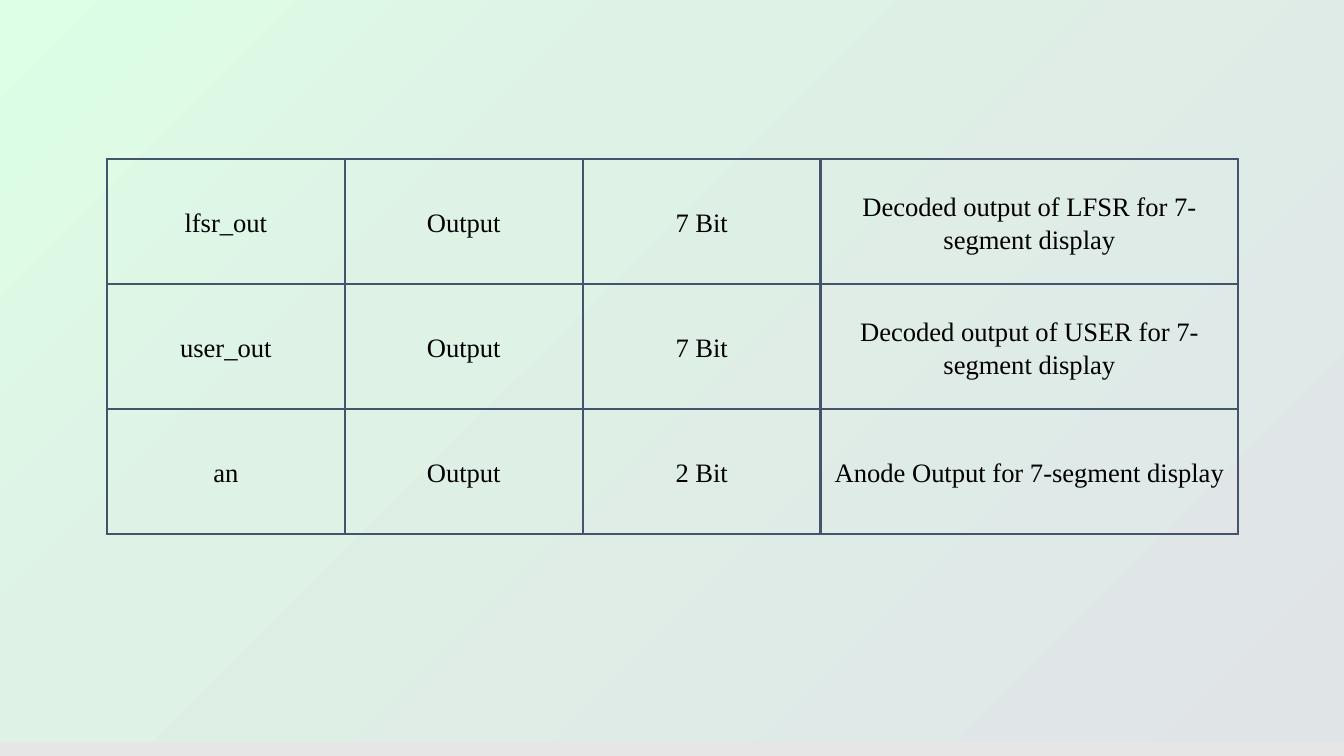
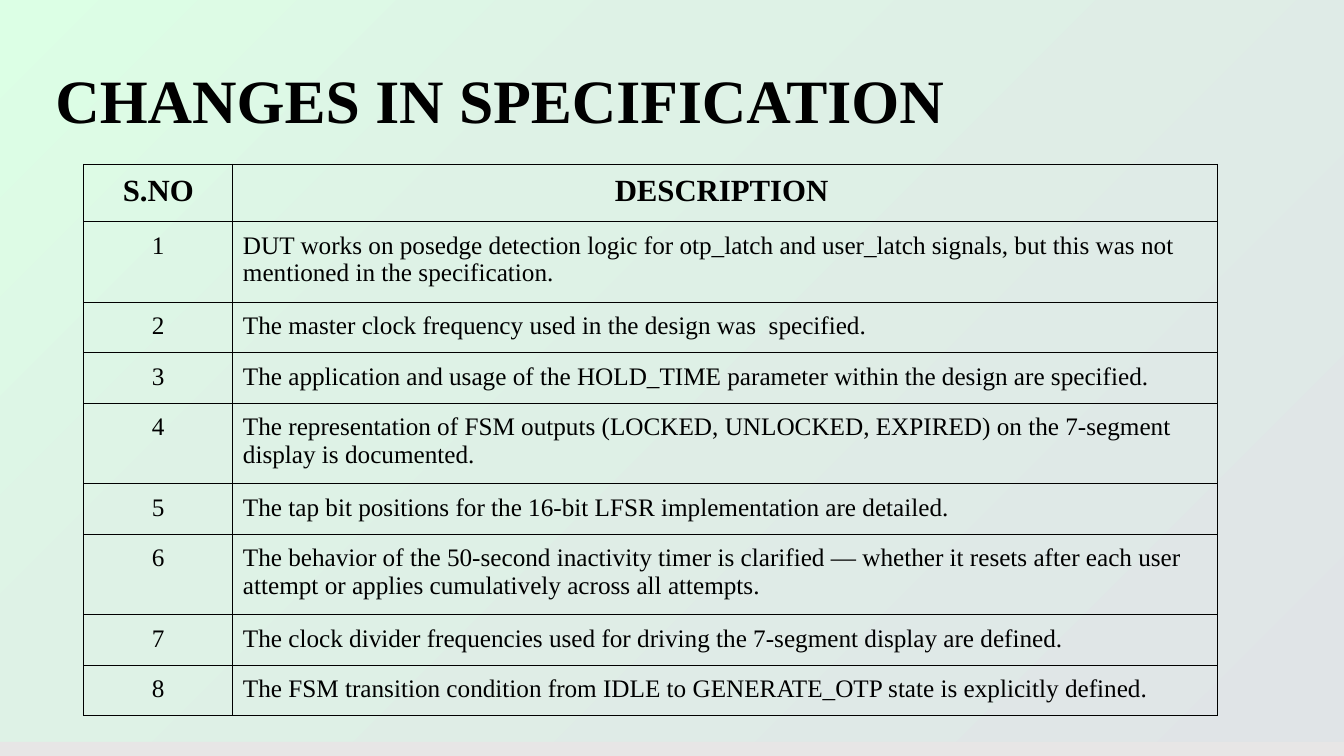
import lxml.etree
import pptx
import pptx.dml.color
import pptx.enum.shapes
import pptx.enum.text
import pptx.oxml.ns
import pptx.util

Inches = pptx.util.Inches
Color = pptx.dml.color.RGBColor
Align = pptx.enum.text.PP_ALIGN
Anchor = pptx.enum.text.MSO_ANCHOR
qn = pptx.oxml.ns.qn

BLACK = Color(0x00, 0x00, 0x00)
SLATE = Color(0x44, 0x54, 0x6A)
BAND_GRAY = Color(0xE7, 0xE6, 0xE6)
GRADIENT = [
    (0, Color(0xE0, 0xE4, 0xE7)),
    (67, Color(0xDE, 0xF2, 0xE6)),
    (100, Color(0xDC, 0xFF, 0xE5)),
]
FONT = "Times New Roman"
WIDTH, HEIGHT = 13.33, 7.5
BAND_HEIGHT = 0.14

SIGNALS = [
    ("lfsr_out", "Output", "7 Bit", "Decoded output of LFSR for 7-segment display"),
    ("user_out", "Output", "7 Bit", "Decoded output of USER for 7-segment display"),
    ("an", "Output", "2 Bit", "Anode Output for 7-segment display"),
]
CHANGES = [
    "DUT works on posedge detection logic for otp_latch and user_latch signals, "
    "but this was not mentioned in the specification.",
    "The master clock frequency used in the design was  specified.",
    "The application and usage of the HOLD_TIME parameter within the design are specified.",
    "The representation of FSM outputs (LOCKED, UNLOCKED, EXPIRED) on the 7-segment "
    "display is documented.",
    "The tap bit positions for the 16-bit LFSR implementation are detailed.",
    "The behavior of the 50-second inactivity timer is clarified — whether it resets "
    "after each user attempt or applies cumulatively across all attempts.",
    "The clock divider frequencies used for driving the 7-segment display are defined.",
    "The FSM transition condition from IDLE to GENERATE_OTP state is explicitly defined.",
]


def write_text(frame, text, size=18, bold=False, align=Align.LEFT, spacing=None):
    frame.word_wrap = True
    para = frame.paragraphs[0]
    para.alignment = align
    para.line_spacing = spacing
    span = para.add_run()
    span.text = text
    span.font.name = FONT
    span.font.size = pptx.util.Pt(size)
    span.font.bold = bold
    span.font.color.rgb = BLACK


def paint_background(page):
    fill = page.background.fill
    fill.gradient()
    fill.gradient_angle = 135
    stops = page.element.find(".//" + qn("a:gsLst"))
    for stop in list(stops):
        stops.remove(stop)
    for position, color in GRADIENT:
        stop = lxml.etree.SubElement(stops, qn("a:gs"), pos=str(position * 1000))
        lxml.etree.SubElement(stop, qn("a:srgbClr"), val=str(color))


def add_page(deck):
    page = deck.slides.add_slide(deck.slide_layouts[6])
    paint_background(page)
    band = page.shapes.add_shape(
        pptx.enum.shapes.MSO_SHAPE.RECTANGLE,
        Inches(0), Inches(HEIGHT - BAND_HEIGHT), Inches(WIDTH), Inches(BAND_HEIGHT))
    band.shadow.inherit = False
    band.fill.solid()
    band.fill.fore_color.rgb = BAND_GRAY
    band.line.fill.background()
    return page


def add_title(page, text, left, top, width, height):
    box = page.shapes.add_textbox(Inches(left), Inches(top), Inches(width), Inches(height))
    box.text_frame.vertical_anchor = Anchor.MIDDLE
    write_text(box.text_frame, text, size=44, bold=True, spacing=0.9)


def border_cell(cell, color, weight):
    properties = cell._tc.get_or_add_tcPr()
    for index, side in enumerate(("a:lnL", "a:lnR", "a:lnT", "a:lnB")):
        line = lxml.etree.Element(qn(side), w=str(pptx.util.Pt(weight)))
        fill = lxml.etree.SubElement(line, qn("a:solidFill"))
        lxml.etree.SubElement(fill, qn("a:srgbClr"), val=str(color))
        properties.insert(index, line)


def add_grid(page, left, top, columns, heights, color, weight):
    table = page.shapes.add_table(
        len(heights), len(columns), Inches(left), Inches(top),
        Inches(sum(columns)), Inches(sum(heights))).table
    table.first_row = False
    table.horz_banding = False
    for column, width in zip(table.columns, columns):
        column.width = Inches(width)
    for row, height in zip(table.rows, heights):
        row.height = Inches(height)
    for cell in table.iter_cells():
        cell.fill.background()
        border_cell(cell, color, weight)
    return table


def set_margins(cell, across, down):
    cell.margin_left = cell.margin_right = Inches(across)
    cell.margin_top = cell.margin_bottom = Inches(down)


def add_signal_table(page, left, top):
    table = add_grid(page, left, top, [2.36] * 3 + [4.14], [1.24] * 3, SLATE, 2)
    for row, texts in zip(table.rows, SIGNALS):
        for column, (cell, text) in enumerate(zip(row.cells, texts)):
            set_margins(cell, 0.13 if column == 3 else 0.04, 0.03)
            cell.vertical_anchor = Anchor.MIDDLE
            write_text(cell.text_frame, text, size=19, align=Align.CENTER, spacing=1.15)


def add_change_table(page, left, top):
    rows = [("S.NO", "DESCRIPTION ")]
    rows += [(str(number), text) for number, text in enumerate(CHANGES, 1)]
    table = add_grid(page, left, top, [1.48, 9.77], [0.42] * len(rows), BLACK, 0.75)
    for index, (row, texts) in enumerate(zip(table.rows, rows)):
        header = index == 0
        for column, (cell, text) in enumerate(zip(row.cells, texts)):
            set_margins(cell, 0.1, 0.1)
            centered = header or column == 0
            write_text(cell.text_frame, text, size=22 if header else 18, bold=header,
                       align=Align.CENTER if centered else Align.LEFT)


def main():
    deck = pptx.Presentation()
    deck.slide_width, deck.slide_height = Inches(WIDTH), Inches(HEIGHT)
    add_signal_table(add_page(deck), 1.06, 1.58)
    page = add_page(deck)
    add_title(page, "CHANGES IN SPECIFICATION", 0.45, 0.42, 12.42, 1.21)
    add_change_table(page, 0.83, 1.63)
    deck.save("out.pptx")


if __name__ == "__main__":
    main()
